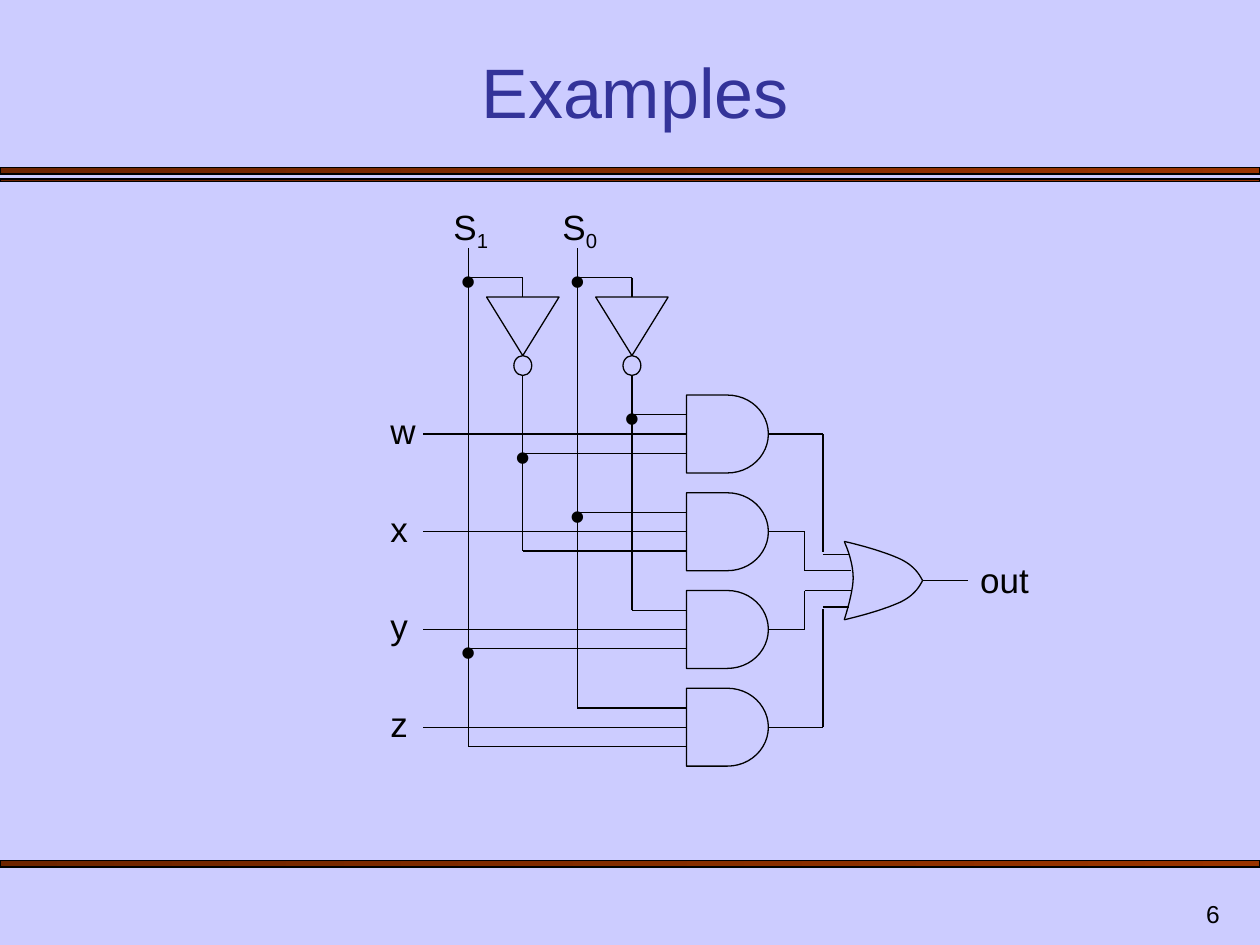
from lxml.etree import SubElement
from pptx import Presentation
from pptx.dml.color import RGBColor
from pptx.enum.shapes import MSO_CONNECTOR, MSO_SHAPE
from pptx.enum.text import MSO_ANCHOR, PP_ALIGN
from pptx.oxml.ns import qn
from pptx.util import Cm, Pt

COLORS = {"page": "CCCCFF", "ink": "000000", "title": "333399",
          "bar_dark": "6D2400", "bar_light": "993300"}

# Circuit layout, in centimetres
COLUMN_X = {"S1": 9.44, "not S1": 10.54, "S0": 11.64, "not S0": 12.74}
ROWS = [8.75 + 1.97 * i for i in range(4)]
MIDDLE = (ROWS[0] + ROWS[-1]) / 2
PIN = 0.39
GATE_LEFT, GATE_WIDTH, GATE_HEIGHT = 13.84, 1.65, 1.57
SELECT_TOP, BRANCH_Y = 5.0, 5.6
INVERTER_TOP, INVERTER_TIP, BUBBLE_BOTTOM = 5.99, 7.17, 7.57
OR_LEFT, OR_TIP = 17.02, 18.6


def color(name):
    return RGBColor.from_string(COLORS[name])


def bezier(points, steps=12):
    """Sample a chain of cubic curves given as start, control, control, end, ..."""
    sampled = [points[0]]
    for i in range(0, len(points) - 1, 3):
        a, b, c, d = points[i:i + 4]
        for t in (step / steps for step in range(1, steps + 1)):
            u = 1 - t
            sampled.append(tuple(
                u**3 * a[k] + 3 * u * u * t * b[k] + 3 * u * t * t * c[k] + t**3 * d[k]
                for k in (0, 1)))
    return sampled


class SlideBuilder:
    font_name = "Arial"
    line_width = Pt(0.75)

    def __init__(self, page):
        self.page = page
        page.background.fill.solid()
        page.background.fill.fore_color.rgb = color("page")

    def outline(self, shape, fill=None):
        shape.shadow.inherit = False
        shape.line.color.rgb = color("ink")
        shape.line.width = self.line_width
        if fill:
            shape.fill.solid()
            shape.fill.fore_color.rgb = color(fill)
        else:
            shape.fill.background()

    def shape(self, kind, left, top, width, height, fill=None):
        shape = self.page.shapes.add_shape(kind, Cm(left), Cm(top), Cm(width), Cm(height))
        self.outline(shape, fill)
        return shape

    def bar(self, top, height):
        bar = self.shape(MSO_SHAPE.RECTANGLE, 0, top, 25.4, height)
        bar.fill.gradient()
        bar.fill.gradient_angle = 0
        for stop, name in zip(bar.fill.gradient_stops, ("bar_dark", "bar_light")):
            stop.color.rgb = color(name)

    def path_shape(self, points, close=False, fill=None):
        points = [(Cm(x), Cm(y)) for x, y in points]
        builder = self.page.shapes.build_freeform(*points[0])
        builder.add_line_segments(points[1:], close=close)
        self.outline(builder.convert_to_shape(), fill)

    def wire(self, *points):
        """Join the points with straight lines."""
        for start, end in zip(points, points[1:]):
            line = self.page.shapes.add_connector(
                MSO_CONNECTOR.STRAIGHT, *(Cm(value) for value in start + end))
            line.line.color.rgb = color("ink")
            line.line.width = self.line_width
            SubElement(line._element.spPr, qn("a:effectLst"))

    def text(self, words, left, top, width, height, size=20, ink="ink",
             align=PP_ALIGN.LEFT, anchor=MSO_ANCHOR.TOP, subscript=None):
        box = self.page.shapes.add_textbox(Cm(left), Cm(top), Cm(width), Cm(height))
        frame = box.text_frame
        frame.word_wrap = True
        frame.vertical_anchor = anchor
        paragraph = frame.paragraphs[0]
        paragraph.alignment = align
        paragraph.font.name = self.font_name
        paragraph.font.size = Pt(size)
        paragraph.font.color.rgb = color(ink)
        paragraph.add_run().text = words
        if subscript:
            span = paragraph.add_run()
            span.text = subscript
            span._r.get_or_add_rPr().set("baseline", "-25000")
        return box

    def dot(self, x, y):
        self.text("•", x - 0.55, y - 0.59, 1.1, 1.27, size=24, align=PP_ALIGN.CENTER)

    def inverter(self, x):
        self.path_shape([(x - 0.73, INVERTER_TOP), (x + 0.73, INVERTER_TOP),
                         (x, INVERTER_TIP)], close=True, fill="page")
        self.shape(MSO_SHAPE.OVAL, x - 0.18, INVERTER_TIP, 0.36,
                   BUBBLE_BOTTOM - INVERTER_TIP, fill="page")

    def and_gate(self, y):
        self.shape(MSO_SHAPE.FLOWCHART_DELAY, GATE_LEFT, y - GATE_HEIGHT / 2,
                   GATE_WIDTH, GATE_HEIGHT)

    def or_gate(self):
        back = [(0, -0.79), (0.1, -0.56), (0.18, -0.3), (0.18, -0.05),
                (0.18, 0.2), (0.05, 0.64), (0, 0.79)]
        upper = [(0, -0.79), (0.43, -0.69), (0.86, -0.56), (1.14, -0.43),
                 (1.4, -0.3), (1.5, -0.15), (1.58, 0)]
        lower = [(x, -y) for x, y in upper]
        for curve in (back, upper, lower):
            self.path_shape([(OR_LEFT + x, MIDDLE + y) for x, y in bezier(curve)])


def draw_frame(slide):
    for top, height in ((3.38, 0.13), (3.61, 0.05), (17.35, 0.13)):
        slide.bar(top, height)
    slide.text("Examples", 1.47, 1.02, 22.66, 1.78, size=40, ink="title",
               align=PP_ALIGN.CENTER, anchor=MSO_ANCHOR.BOTTOM)
    slide.text("6", 19.56, 17.78, 5.28, 1.07, size=14,
               align=PP_ALIGN.RIGHT, anchor=MSO_ANCHOR.BOTTOM)


def draw_select_lines(slide):
    for digit in "10":
        x, inverted_x = COLUMN_X["S" + digit], COLUMN_X["not S" + digit]
        slide.text("S", x - 0.55, 4.01, 1.4, 1.09, subscript=digit)
        slide.wire((x, BRANCH_Y), (inverted_x, BRANCH_Y), (inverted_x, INVERTER_TOP))
        slide.dot(x, BRANCH_Y)
        slide.inverter(inverted_x)

    # Gate inputs of each column: (row, side of the middle pin)
    taps = {"S1": [(2, 1), (3, 1)], "not S1": [(0, 1), (1, 1)],
            "S0": [(1, -1), (3, -1)], "not S0": [(0, -1), (2, -1)]}
    for name, pins in taps.items():
        x = COLUMN_X[name]
        first, last = (ROWS[row] + side * PIN for row, side in pins)
        top = BUBBLE_BOTTOM if name.startswith("not") else SELECT_TOP
        slide.wire((x, top), (x, last), (GATE_LEFT, last))
        slide.wire((x, first), (GATE_LEFT, first))
        slide.dot(x, first)


def draw_gates(slide):
    for label, y in zip("wxyz", ROWS):
        box = slide.text(label, 7.62, y - 0.62, 0.8, 1.09)
        box.text_frame.margin_right = 0
        slide.wire((8.53, y), (GATE_LEFT, y))
        slide.and_gate(y)

    slide.or_gate()
    gate_right = GATE_LEFT + GATE_WIDTH
    for side, outer, inner in ((-1, ROWS[0], ROWS[1]), (1, ROWS[3], ROWS[2])):
        outer_pin, inner_pin = MIDDLE + side * 0.53, MIDDLE + side * 0.2
        slide.wire((gate_right, outer), (16.59, outer), (16.59, MIDDLE + side * 0.57))
        slide.wire((16.59, outer_pin), (17.12, outer_pin))
        slide.wire((gate_right, inner), (16.22, inner), (16.22, inner_pin),
                   (17.15, inner_pin))
    slide.wire((OR_TIP, MIDDLE), (19.51, MIDDLE))
    slide.text("out", 19.51, MIDDLE - 0.58, 1.65, 1.09)


def main():
    deck = Presentation()
    deck.slide_width, deck.slide_height = Cm(25.4), Cm(19.05)
    slide = SlideBuilder(deck.slides.add_slide(deck.slide_layouts[6]))
    draw_frame(slide)
    draw_select_lines(slide)
    draw_gates(slide)
    deck.save("out.pptx")


if __name__ == "__main__":
    main()
